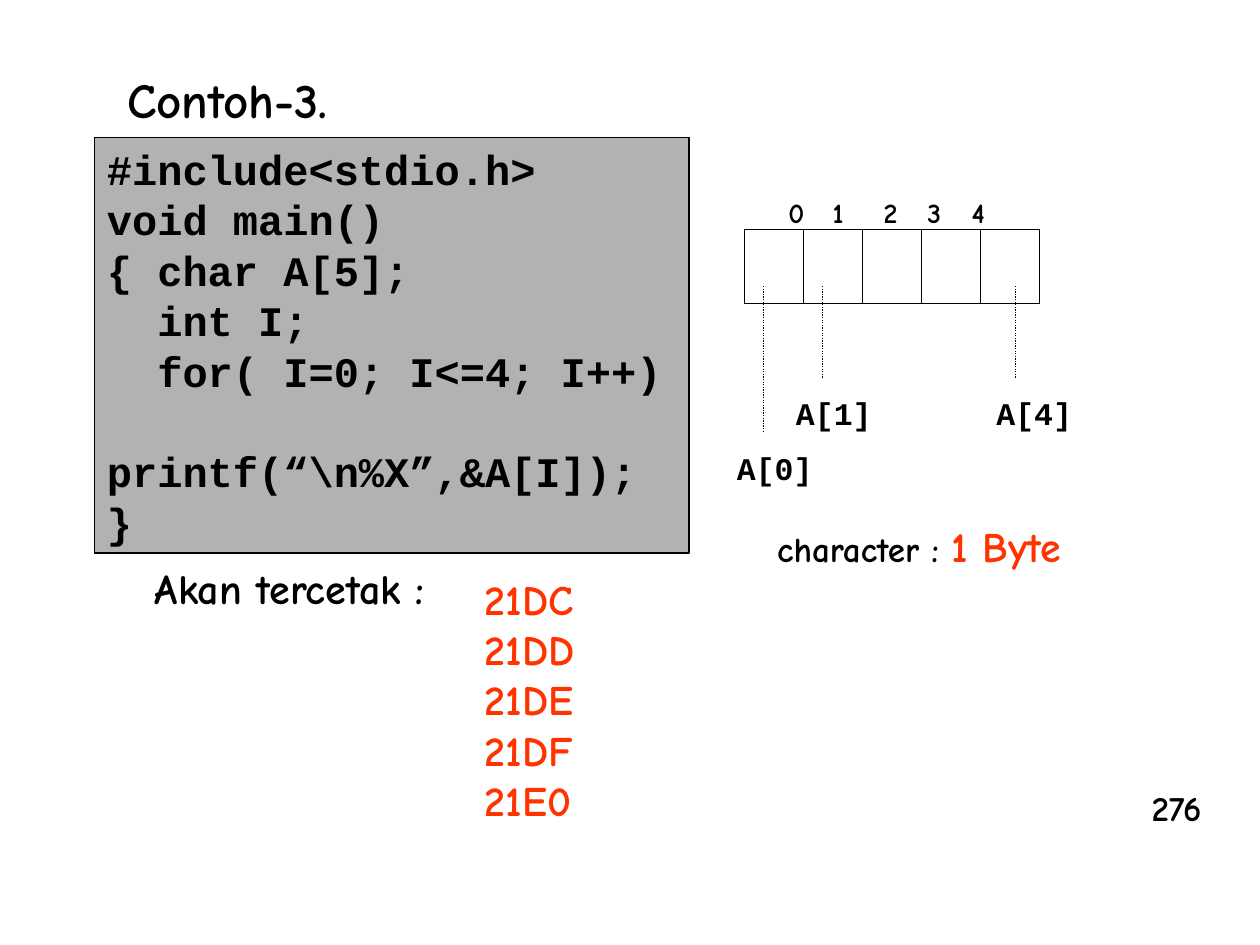
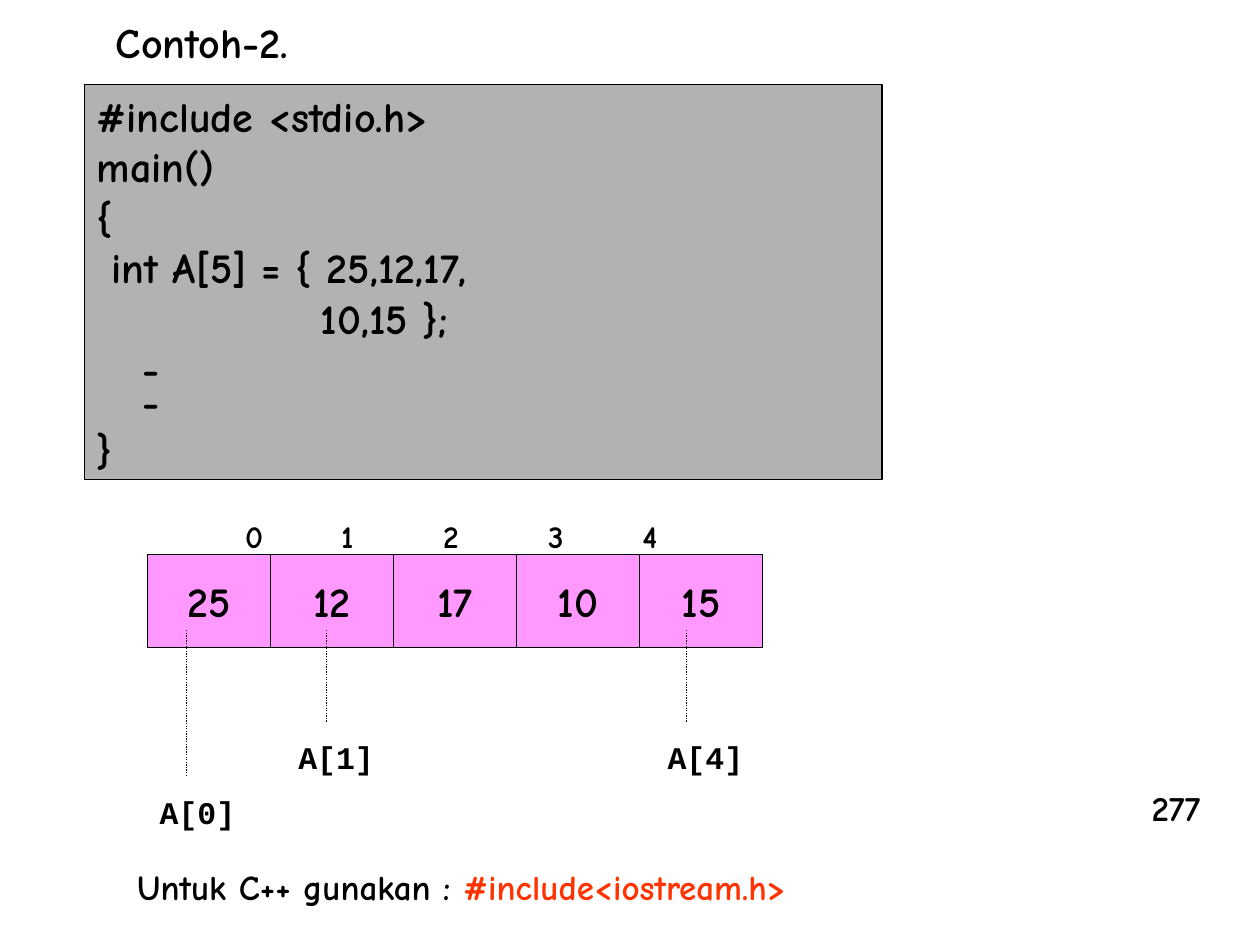
from lxml import etree
from pptx import Presentation
from pptx.dml.color import RGBColor
from pptx.enum.dml import MSO_LINE_DASH_STYLE as DASH
from pptx.enum.shapes import MSO_CONNECTOR as CONN, MSO_SHAPE as SHAPE
from pptx.enum.text import MSO_ANCHOR as ANCHOR, MSO_AUTO_SIZE as FIT, PP_ALIGN as ALIGN
from pptx.oxml.ns import qn
from pptx.util import Pt

HAND = "Comic Neue"
MONO = "Courier New"
BLACK = "000000"
RED = "FF3300"
GREY = "B2B2B2"
PINK = "FF99FF"


def color(value):
    return RGBColor.from_string(value)


def style(font, size, name=HAND, fill=BLACK):
    font.name = name
    font.size = Pt(size)
    font.bold = True
    font.color.rgb = color(fill)


def place(sp, x, y, w, h):
    sp.left, sp.top, sp.width, sp.height = Pt(x), Pt(y), Pt(w), Pt(h)


def add_text(slide, box, lines, size, name=HAND, fill=BLACK, wrap=False):
    tf = slide.shapes.add_textbox(*map(Pt, box)).text_frame
    tf.word_wrap = wrap
    tf.auto_size = FIT.SHAPE_TO_FIT_TEXT
    for i, line in enumerate(lines):
        p = tf.paragraphs[0] if i == 0 else tf.add_paragraph()
        p.text = line
        style(p.font, size, name, fill)
    return tf


def add_note(slide, box, label, value, value_size):
    tf = add_text(slide, box, [label], 20)
    r = tf.paragraphs[0].add_run()
    r.text = value
    style(r.font, value_size, fill=RED)


def add_title(slide, box, text, size):
    sp = slide.shapes.title
    place(sp, *box)
    tf = sp.text_frame
    tf.text = text
    tf.word_wrap = False
    tf.auto_size = FIT.SHAPE_TO_FIT_TEXT
    tf.vertical_anchor = ANCHOR.TOP
    p = tf.paragraphs[0]
    p.alignment = ALIGN.LEFT
    style(p.font, size)


def add_page_number(slide, number):
    add_text(slide, (651, 445.7, 43.5, 31.7), [number], 20)


def add_box(slide, box, fill=None):
    sp = slide.shapes.add_shape(SHAPE.RECTANGLE, *map(Pt, box))
    sp.shadow.inherit = False
    if fill:
        sp.fill.solid()
        sp.fill.fore_color.rgb = color(fill)
    else:
        sp.fill.background()
    sp.line.color.rgb = color(BLACK)
    sp.line.width = Pt(0.75)
    return sp


def add_code(slide, box, lines, name):
    tf = add_box(slide, box, GREY).text_frame
    tf.word_wrap = True
    tf.auto_size = FIT.SHAPE_TO_FIT_TEXT
    tf.vertical_anchor = ANCHOR.TOP
    for i, (text, indent) in enumerate(lines):
        p = tf.paragraphs[0] if i == 0 else tf.add_paragraph()
        p.text = text
        p.alignment = ALIGN.LEFT
        style(p.font, 24, name)
        if indent:
            p._p.get_or_add_pPr().set("marL", str(Pt(indent)))
    return tf


def add_indices(slide, x, y, stops, size):
    tf = add_text(slide, (x, y, stops[-1] + 30, 27), ["\t".join("01234")], size, wrap=True)
    pPr = tf.paragraphs[0]._p.get_or_add_pPr()
    tabs = etree.Element(qn("a:tabLst"))
    for stop in stops:
        etree.SubElement(tabs, qn("a:tab"), pos=str(Pt(stop)), algn="l")
    pPr.insert_element_before(tabs, "a:defRPr", "a:extLst")


def add_pointer(slide, x, y, length, label, label_x):
    line = slide.shapes.add_connector(CONN.STRAIGHT, Pt(x), Pt(y), Pt(x), Pt(y + length))
    line.line.color.rgb = color(BLACK)
    line.line.width = Pt(0.75)
    line.line.dash_style = DASH.ROUND_DOT
    etree.SubElement(line._element.spPr, qn("a:effectLst"))
    add_text(slide, (label_x, y + length + 5.5, 57.6, 28.8), [label], 18, MONO)


def add_array(slide, box, values, pointers, fill=None):
    x, y, w, h = box
    cell_w = w / len(values)
    for i, value in enumerate(values):
        sp = add_box(slide, (x + i * cell_w, y, cell_w, h), fill)
        if value:
            tf = sp.text_frame
            tf.text = value
            tf.word_wrap = False
            tf.vertical_anchor = ANCHOR.MIDDLE
            p = tf.paragraphs[0]
            p.alignment = ALIGN.CENTER
            style(p.font, 24)
    for label, dx, label_dx, length in pointers:
        add_pointer(slide, x + dx, y + h - 10, length, label, x + label_dx)


def build_addresses(slide):
    add_title(slide, (65.5, 36, 129.6, 41), "Contoh-3.", 28)
    tf = add_code(slide, (54, 78.5, 339.8, 237.6), [
        ("#include<stdio.h>", 0),
        ("void main()", 0),
        ("{ char A[5];", 0),
        ("int I;", 28.8),
        ("for( I=0; I<=4; I++)", 28.8),
        ("printf(“\\n%X”,&A[I]);", 0),
        ("}", 0),
    ], MONO)
    tf.paragraphs[5].space_before = Pt(28.8)
    add_text(slide, (81.4, 318.2, 170.6, 36), ["Akan tercetak :"], 24)
    add_text(slide, (270, 324, 65.5, 151.2),
             ["21DC", "21DD", "21DE", "21DF", "21E0"], 24, fill=RED)
    add_indices(slide, 443.5, 108, (25.2, 54.4, 79.4, 104.6), 16)
    add_array(slide, (425.5, 131, 168.5, 42.5), [""] * 5, [
        ("A[0]", 10.8, -11.5, 84),
        ("A[1]", 44.6, 22.3, 52.5),
        ("A[4]", 154.8, 136.8, 52.5),
    ])
    add_note(slide, (437, 293.8, 178.6, 36), "character : ", "1 Byte", 24)
    add_page_number(slide, "276")


def build_initial_values(slide):
    add_title(slide, (59, 5.8, 113, 36), "Contoh-2.", 24)
    tf = add_code(slide, (48.2, 48.2, 455.8, 226), [
        ("#include <stdio.h>", 0),
        ("main()", 0),
        ("{", 0),
        ("int A[5] = { 25,12,17,", 8.3),
        ("10,15 };", 128),
        ("-", 26),
        ("-", 26),
        ("}", 0),
    ], HAND)
    tf.paragraphs[6].line_spacing = 0.6
    add_indices(slide, 133, 291.6, (54.9, 113.1, 173.1, 226.9), 18)
    add_array(slide, (84.2, 316.8, 351.5, 53.3), ["25", "12", "17", "10", "15"], [
        ("A[0]", 22.3, 0, 84),
        ("A[1]", 102.2, 79.2, 52.5),
        ("A[4]", 308.2, 290.2, 52.5),
    ], PINK)
    add_note(slide, (71.3, 491, 386, 31.7), "Untuk C++ gunakan : ", "#include<iostream.h>", 20)
    add_page_number(slide, "277")


def main():
    prs = Presentation()
    prs.slide_width, prs.slide_height = Pt(720), Pt(540)
    for build in (build_addresses, build_initial_values):
        build(prs.slides.add_slide(prs.slide_layouts[5]))
    prs.save("out.pptx")


if __name__ == "__main__":
    main()
